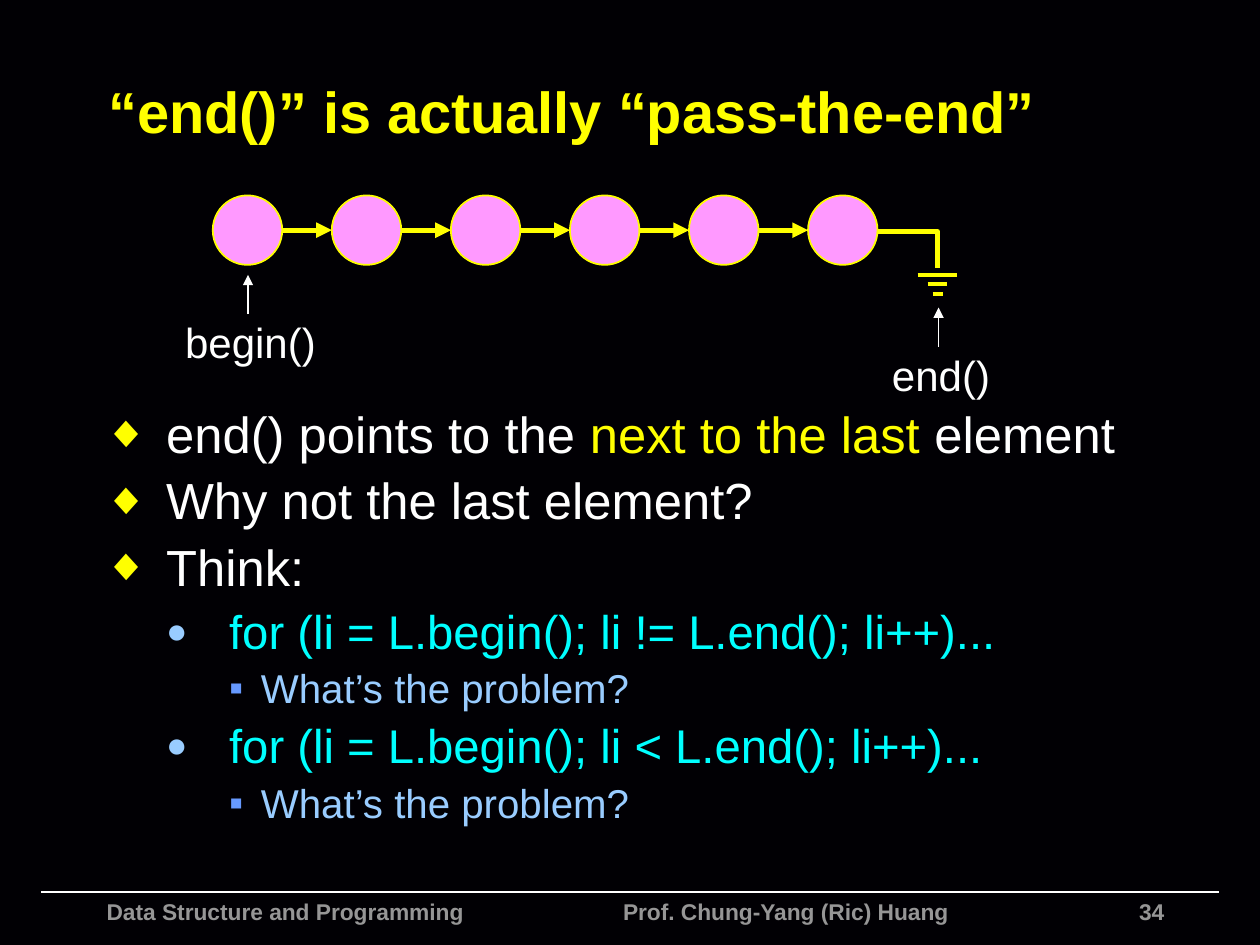
from typing import NamedTuple

from lxml import etree
from pptx import Presentation
from pptx import util as u
from pptx.dml.color import RGBColor
from pptx.enum import shapes as es
from pptx.enum import text as et
from pptx.oxml.ns import qn

YELLOW, WHITE, GREY = "FFFF00", "FFFFFF", "969696"
PINK, CYAN, SKY, BLUE = "FF99FF", "00FFFF", "99CCFF", "6699FF"
COUNT, SIZE, STEP = 6, 1.4, 2.4
LEFT, TOP = 4.29, 3.94
MID = TOP + SIZE / 2


class Level(NamedTuple):
    size: int
    color: str
    margin: float
    hang: float
    mark: str
    tint: str
    scale: int


class Item(NamedTuple):
    level: int
    words: list[str]  # every second piece is stressed in yellow


class Mark(NamedTuple):
    name: str
    x: float
    tip: float


LEVELS = [
    Level(29, WHITE, 1.27, 1.27, "◆", YELLOW, 90),
    Level(27, CYAN, 2.54, 1.27, "●", SKY, 75),
    Level(23, SKY, 3.18, 0.64, "▪", BLUE, 100),
]
ITEMS = [
    Item(0, ["end() points to the ", "next to the last", " element"]),
    Item(0, ["Why not the last element?"]),
    Item(0, ["Think:"]),
    Item(1, ["for (li = L.begin(); li != L.end(); li++)..."]),
    Item(2, ["What’s the problem?"]),
    Item(1, ["for (li = L.begin(); li < L.end(); li++)..."]),
    Item(2, ["What’s the problem?"]),
]
MARKS = [Mark("begin()", 5.0, 5.54), Mark("end()", 18.92, 6.2)]


def rgb(code: str) -> RGBColor:
    return RGBColor.from_string(code)


def child(node, tag: str, **attrs: str):
    return etree.SubElement(node, qn(tag), attrs)


def put(para, words: str, size: float, color: str, bold: bool = False) -> None:
    """Add a run of formatted text to a paragraph."""
    run = para.add_run()
    run.text = words
    look = {"name": "Arial", "size": u.Pt(size), "bold": bold}
    for key, value in look.items():
        setattr(run.font, key, value)
    run.font.color.rgb = rgb(color)


def place(shape, x: float, y: float, w: float, h: float) -> None:
    spot = {"left": x, "top": y, "width": w, "height": h}
    for key, value in spot.items():
        setattr(shape, key, u.Cm(value))


def box(slide, x: float, y: float, w: float, h: float, wrap: bool = True):
    """Add a text box and return its text frame."""
    frame = slide.shapes.add_textbox(*map(u.Cm, (x, y, w, h))).text_frame
    frame.word_wrap = wrap
    return frame


def line(slide, x1: float, y1: float, x2: float, y2: float,
         color: str, width: float, arrow: bool = False) -> None:
    wire = slide.shapes.add_connector(
        es.MSO_CONNECTOR.STRAIGHT, *map(u.Cm, (x1, y1, x2, y2)))
    wire.line.color.rgb = rgb(color)
    wire.line.width = u.Pt(width)
    if arrow:
        child(wire.line._get_or_add_ln(), "a:tailEnd", type="triangle")
    child(wire._element.spPr, "a:effectLst")


def head(slide) -> None:
    title = slide.shapes.title
    place(title, 1.93, 0.94, 22.45, 2.57)
    frame = title.text_frame
    frame.word_wrap = True
    frame.vertical_anchor = et.MSO_ANCHOR.MIDDLE
    para = frame.paragraphs[0]
    para.alignment = et.PP_ALIGN.LEFT
    put(para, "“end()” is actually “pass-the-end”", 33, YELLOW, True)


def foot(slide) -> None:
    line(slide, 0.83, 17.98, 24.57, 17.98, WHITE, 1)
    page = box(slide, 15.67, 17.98, 8.05, 0.9).paragraphs[0]
    page.alignment = et.PP_ALIGN.RIGHT
    put(page, "34", 13, GREY, True)
    para = box(slide, 1.9, 17.98, 18.39, 1.07).paragraphs[0]
    tabs = child(para._p.get_or_add_pPr(), "a:tabLst")
    child(tabs, "a:tab", pos=str(u.Cm(10.41)), algn="l")
    put(para, "Data Structure and Programming\tProf. Chung-Yang (Ric) Huang",
        13, GREY, True)


def bullet(para, level: Level) -> None:
    props = para._p.get_or_add_pPr()
    props.set("marL", str(u.Cm(level.margin)))
    props.set("indent", str(-u.Cm(level.hang)))
    child(child(props, "a:buClr"), "a:srgbClr", val=level.tint)
    child(props, "a:buSzPct", val=str(level.scale * 1000))
    child(props, "a:buFont", typeface="Arial")
    child(props, "a:buChar", char=level.mark)


def body(slide) -> None:
    frame = box(slide, 1.83, 8.13, 21.59, 8.81)
    for i, item in enumerate(ITEMS):
        para = frame.add_paragraph() if i else frame.paragraphs[0]
        level = LEVELS[item.level]
        look = {"level": item.level, "line_spacing": 0.9,
                "space_before": u.Pt(round(level.size * 0.23, 1))}
        for key, value in look.items():
            setattr(para, key, value)
        bullet(para, level)
        for j, piece in enumerate(item.words):
            put(para, piece, level.size, YELLOW if j % 2 else level.color)


def chain(slide) -> None:
    """Draw the list nodes and the arrows that link them."""
    for i in range(COUNT):
        x = LEFT + i * STEP
        node = slide.shapes.add_shape(
            es.MSO_SHAPE.OVAL, *map(u.Cm, (x, TOP, SIZE, SIZE)))
        node.shadow.inherit = False
        node.fill.solid()
        node.fill.fore_color.rgb = rgb(PINK)
        node.line.color.rgb = rgb(YELLOW)
        node.line.width = u.Pt(1)
        if i < COUNT - 1:
            line(slide, x + SIZE, MID, x + STEP, MID, YELLOW, 3, True)


def ground(slide) -> None:
    """Draw the bent wire and the three bars that end the list."""
    x, y = 18.9, 4.67
    pen = slide.shapes.build_freeform(u.Cm(17.7), u.Cm(y))
    bend = [(u.Cm(x), u.Cm(y)), (u.Cm(x), u.Cm(5.4))]
    pen.add_line_segments(bend, close=False)
    wire = pen.convert_to_shape()
    wire.shadow.inherit = False
    wire.fill.background()
    wire.line.color.rgb = rgb(YELLOW)
    wire.line.width = u.Pt(3)
    for i, half in enumerate((0.4, 0.2, 0.1)):
        y = 5.54 + i * 0.19
        line(slide, x - half, y, x + half, y, YELLOW, 2.25)


def point(slide, mark: Mark) -> None:
    """Draw an upward arrow with its name below."""
    line(slide, mark.x, mark.tip + 0.79, mark.x, mark.tip, WHITE, 1, True)
    wide = 2.9
    frame = box(slide, mark.x + 0.05 - wide / 2, mark.tip + 0.72,
                wide, 1.27, False)
    for side in ("left", "right", "top", "bottom"):
        setattr(frame, f"margin_{side}", u.Cm(0.13))
    para = frame.paragraphs[0]
    para.alignment = et.PP_ALIGN.CENTER
    put(para, mark.name, 24, WHITE)


def main() -> None:
    deck = Presentation()
    deck.slide_width, deck.slide_height = u.Cm(25.4), u.Cm(19.05)
    slide = deck.slides.add_slide(deck.slide_layouts[5])
    back = slide.background.fill
    back.solid()
    back.fore_color.rgb = rgb("010004")
    for draw in (foot, head, body, chain, ground):
        draw(slide)
    for mark in MARKS:
        point(slide, mark)
    deck.save("out.pptx")


if __name__ == "__main__":
    main()
